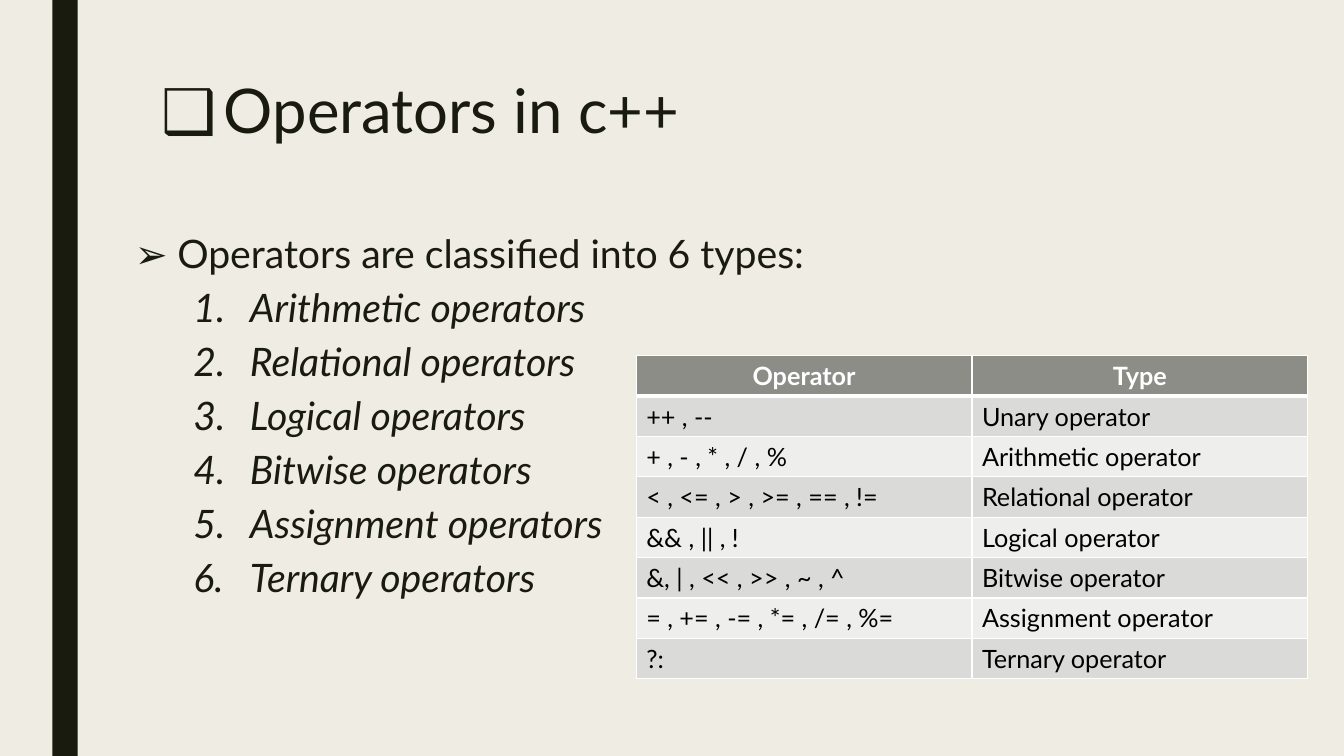
from lxml.etree import SubElement
from pptx import Presentation
from pptx.dml.color import RGBColor
from pptx.enum.shapes import MSO_SHAPE
from pptx.enum.text import MSO_ANCHOR, MSO_AUTO_SIZE, PP_ALIGN
from pptx.oxml.ns import qn
from pptx.util import Inches, Pt

# Content
TITLE = "Operators in c++"
INTRO = "Operators are classified into 6 types:"
TYPES = ["Arithmetic operators", "Relational operators", "Logical operators",
         "Bitwise operators", "Assignment operators", "Ternary operators"]
TABLE = [
    ("Operator", "Type"),
    ("++ , --", "Unary operator"),
    ("+ , - , * , / , %", "Arithmetic operator"),
    ("< , <= , > , >= , == , !=", "Relational operator"),
    ("&& , || , !", "Logical operator"),
    ("&, | , << , >> , ~ , ^", "Bitwise operator"),
    ("= , += , -= , *= , /= , %=", "Assignment operator"),
    ("?:", "Ternary operator"),
]
COLORS = {"bg": "EFEDE3", "dark": "191B0E", "head": "8C8D86", "odd": "DADBD9",
          "even": "EEEEED", "white": "FFFFFF", "black": "000000"}
FONT = "Lato"
COL_W, ROW_H = 3.33, 0.4


def rgb(name):
    return RGBColor.from_string(COLORS[name])


def write(p, text, size, color, **extra):
    r = p.add_run()
    r.text = text
    for key, value in {"name": FONT, "size": Pt(size), **extra}.items():
        setattr(r.font, key, value)
    r.font.color.rgb = rgb(color)


def layout(p, margin, hang, **spacing):
    for key, value in spacing.items():
        setattr(p, key, value)
    pPr = p._p.get_or_add_pPr()
    pPr.set("marL", str(Inches(margin)))
    pPr.set("indent", str(-Inches(hang)))
    return pPr


def bullet(pPr, char):
    SubElement(pPr, qn("a:buFont"), typeface=FONT)
    SubElement(pPr, qn("a:buChar"), char=char)


def borders(cell, bottom):
    tcPr = cell._tc.get_or_add_tcPr()
    for side, width in (("L", 1), ("R", 1), ("T", 1), ("B", bottom)):
        ln = SubElement(tcPr, qn(f"a:ln{side}"), w=str(Pt(width)))
        fill = SubElement(ln, qn("a:solidFill"))
        SubElement(fill, qn("a:srgbClr"), val=COLORS["white"])


prs = Presentation()
prs.slide_width, prs.slide_height = Inches(13.33), Inches(7.5)
s = prs.slides.add_slide(prs.slide_layouts[5])
s.background.fill.solid()
s.background.fill.fore_color.rgb = rgb("bg")

# Side bar
bar = s.shapes.add_shape(MSO_SHAPE.RECTANGLE, Inches(0.52), 0, Inches(0.25), prs.slide_height)
bar.shadow.inherit = False
bar.fill.solid()
bar.fill.fore_color.rgb = rgb("dark")
bar.line.fill.background()

# Title
title = s.shapes.title
title.left, title.top, title.width, title.height = map(Inches, (1.5, 0.75, 10.5, 1.62))
tf = title.text_frame
tf.vertical_anchor, tf.auto_size = MSO_ANCHOR.TOP, MSO_AUTO_SIZE.NONE
p = tf.paragraphs[0]
bullet(layout(p, 0.62, 0.62, alignment=PP_ALIGN.LEFT, line_spacing=0.89), "❑")
write(p, TITLE, 44, "dark")

# Intro line and numbered list
tf = s.shapes.add_textbox(*map(Inches, (1.24, 2.26, 11.38, 4.5))).text_frame
tf.word_wrap = True
p = tf.paragraphs[0]
bullet(layout(p, 0.42, 0.42, line_spacing=0.94, space_after=Pt(2)), "➢")
write(p, INTRO, 28, "dark")
for name in TYPES:
    p = tf.add_paragraph()
    pPr = layout(p, 1.14, 0.56, level=1, line_spacing=0.94,
                 space_before=Pt(5), space_after=Pt(2))
    SubElement(pPr, qn("a:buFont"), typeface=FONT)
    SubElement(pPr, qn("a:buAutoNum"), type="arabicPeriod")
    write(p, name, 28, "dark", italic=True)

# Operator table
rows, cols = len(TABLE), len(TABLE[0])
table = s.shapes.add_table(rows, cols, Inches(6.31), Inches(3.53),
                           Inches(cols * COL_W), Inches(rows * ROW_H)).table
for i, row in enumerate(TABLE):
    head = i == 0
    fill = "head" if head else "odd" if i % 2 else "even"
    for j, text in enumerate(row):
        cell = table.cell(i, j)
        borders(cell, 3 if head else 1)
        cell.fill.solid()
        cell.fill.fore_color.rgb = rgb(fill)
        p = cell.text_frame.paragraphs[0]
        p.alignment = PP_ALIGN.CENTER if head else PP_ALIGN.LEFT
        write(p, text, 18, "white" if head else "black", bold=head)

prs.save("out.pptx")
